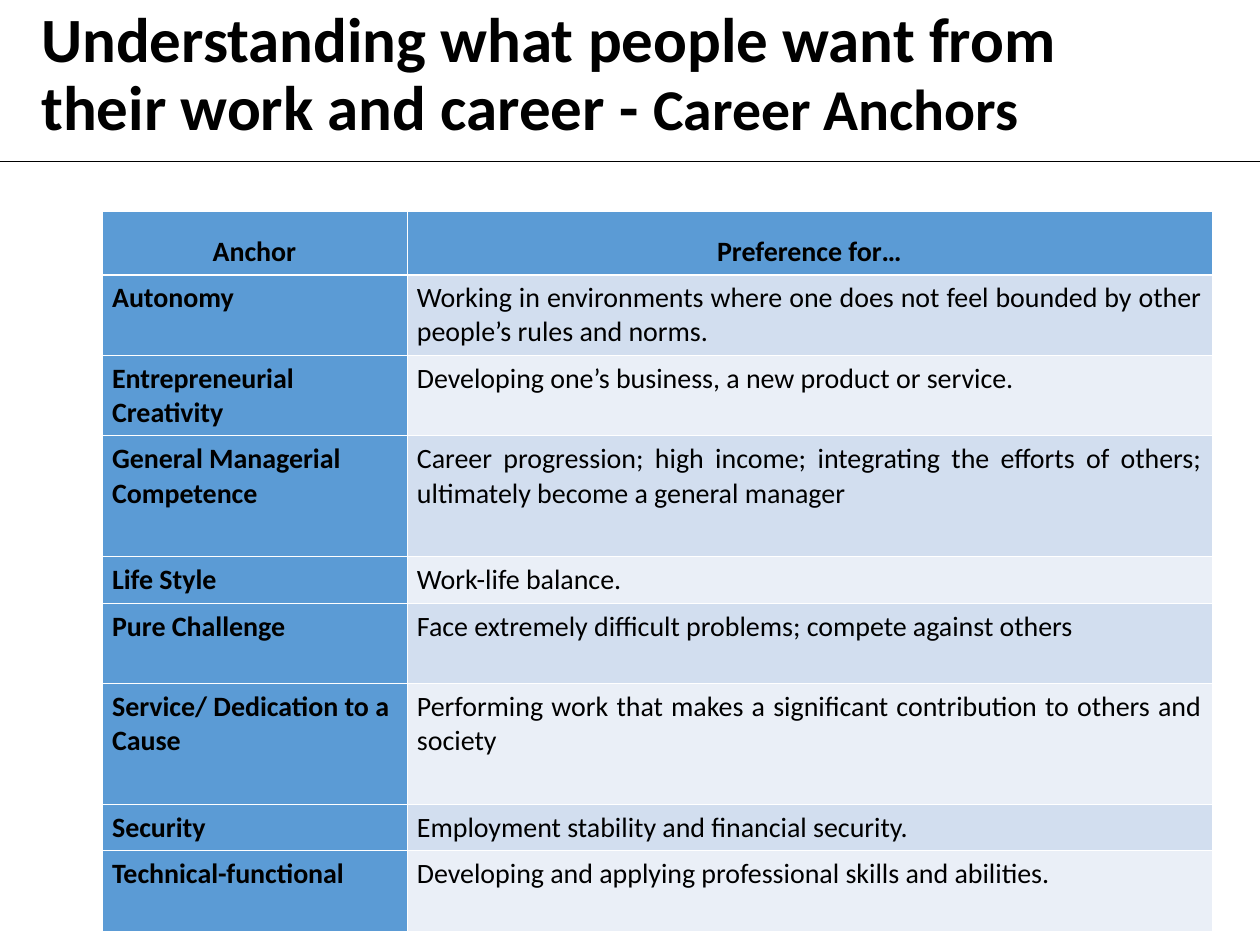
from lxml.etree import SubElement
from pptx import Presentation
from pptx.dml.color import RGBColor
from pptx.enum.shapes import MSO_CONNECTOR
from pptx.enum.text import MSO_ANCHOR, PP_ALIGN
from pptx.oxml.ns import qn
from pptx.util import Inches, Pt

BLACK = RGBColor(0x00, 0x00, 0x00)
WHITE = RGBColor(0xFF, 0xFF, 0xFF)
BLUE = RGBColor(0x5B, 0x9B, 0xD5)
BAND_DARK = RGBColor(0xD2, 0xDE, 0xEF)
BAND_LIGHT = RGBColor(0xEA, 0xEF, 0xF7)
FONT = "Calibri"

ROWS = [
    (0.42, "Anchor", "Preference for…"),
    (0.64, "Autonomy", "Working in environments where one does not feel bounded by other people’s rules and norms."),
    (0.64, "Entrepreneurial Creativity", "Developing one’s business, a new product or service."),
    (0.96, "General Managerial Competence",
     "Career progression; high income; integrating the efforts of others; ultimately become a general manager"),
    (0.32, "Life Style", "Work-life balance."),
    (0.64, "Pure Challenge", "Face extremely difficult problems; compete against others"),
    (0.96, "Service/ Dedication to a Cause",
     "Performing work that makes a significant contribution to others and society"),
    (0.32, "Security", "Employment stability and financial security."),
    (0.64, "Technical-functional", "Developing and applying professional skills and abilities."),
]


def style_run(r, size, bold):
    r.font.name = FONT
    r.font.size = Pt(size)
    r.font.bold = bold
    r.font.color.rgb = BLACK


def add_border(cell, side, width):
    ln = SubElement(cell._tc.get_or_add_tcPr(), qn(f"a:{side}"), w=str(Pt(width)))
    fill = SubElement(ln, qn("a:solidFill"))
    SubElement(fill, qn("a:srgbClr"), val=str(WHITE))


prs = Presentation()
prs.slide_width = Inches(10)
prs.slide_height = Inches(7.5)
s = prs.slides.add_slide(prs.slide_layouts[6])

rule = s.shapes.add_connector(MSO_CONNECTOR.STRAIGHT, Inches(0), Inches(1.28), Inches(10), Inches(1.28))
rule.line.color.rgb = BLACK
rule.line.width = Pt(0.5)
SubElement(rule._element.spPr, qn("a:effectLst"))

title = s.shapes.add_textbox(Inches(0.23), Inches(0.1), Inches(8.62), Inches(1.01))
tf = title.text_frame
tf.word_wrap = True
tf.vertical_anchor = MSO_ANCHOR.MIDDLE
p = tf.paragraphs[0]
p.line_spacing = 0.9
for text, size in [
    ("Understanding what people want from their work and career - ", 36),
    ("Career Anchors", 33),
]:
    r = p.add_run()
    r.text = text
    style_run(r, size, True)

table = s.shapes.add_table(len(ROWS), 2, Inches(0.81), Inches(1.68), Inches(8.81), Inches(5.56)).table
table.columns[0].width = Inches(2.42)
table.columns[1].width = Inches(6.39)
for i, (height, *texts) in enumerate(ROWS):
    table.rows[i].height = Inches(height)
    for j, text in enumerate(texts):
        header = i == 0
        label = header or j == 0
        cell = table.cell(i, j)
        cell.margin_left = cell.margin_right = Inches(0.08)
        cell.margin_top = cell.margin_bottom = Inches(0.05)
        for side in ("lnL", "lnR", "lnT", "lnB"):
            heavy = (i, side) in ((0, "lnB"), (1, "lnT"))
            add_border(cell, side, 1.5 if heavy else 0.5)
        cell.fill.solid()
        cell.fill.fore_color.rgb = BLUE if label else BAND_DARK if i % 2 else BAND_LIGHT
        p = cell.text_frame.paragraphs[0]
        p.text = text
        if header:
            p.alignment = PP_ALIGN.CENTER
            p.line_spacing = 1.5
        else:
            p.alignment = PP_ALIGN.LEFT if label else PP_ALIGN.JUSTIFY
        style_run(p.runs[0], 16, label)

prs.save("out.pptx")
